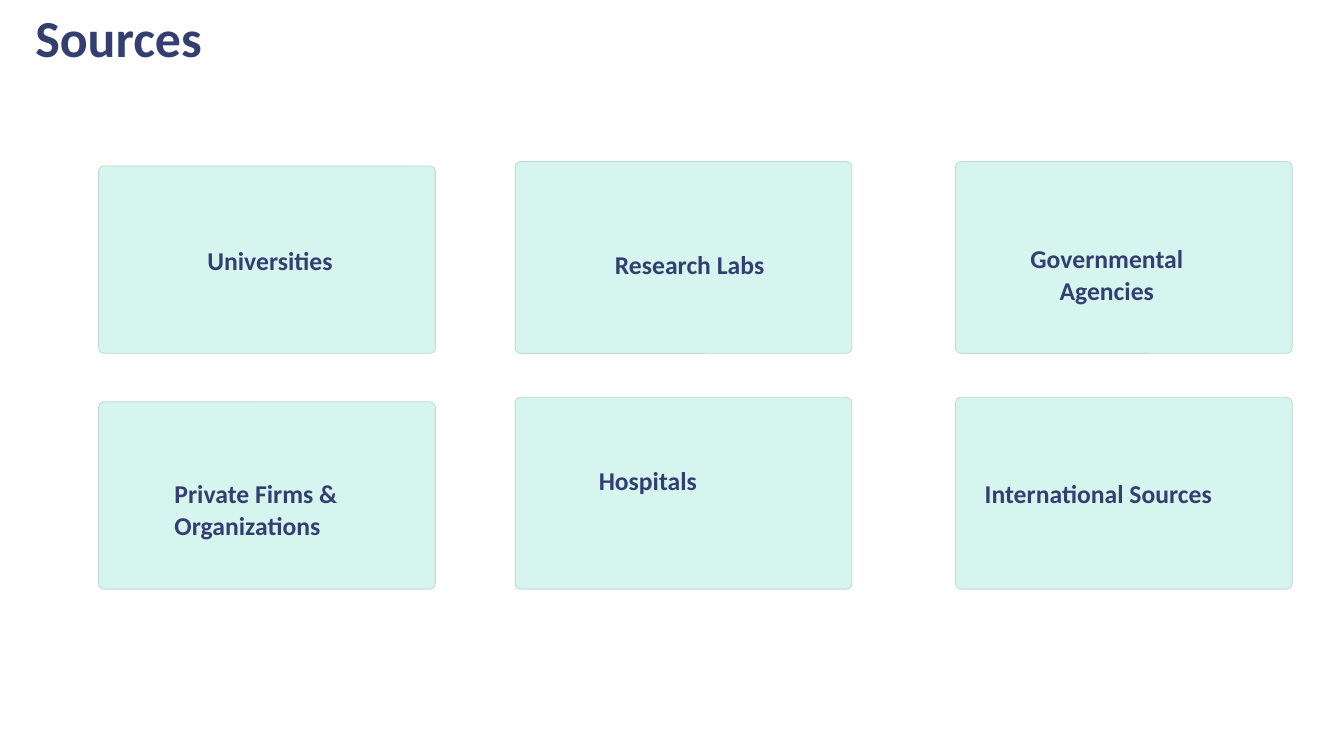
"""Builds the Sources slide with six labelled cards."""
from dataclasses import dataclass

from pptx import Presentation
from pptx.dml.color import RGBColor
from pptx.enum.shapes import MSO_SHAPE
from pptx.enum.text import PP_ALIGN
from pptx.slide import Slide
from pptx.util import Pt

ROUNDED = MSO_SHAPE.ROUNDED_RECTANGLE
LEFT = PP_ALIGN.LEFT
CENTER = PP_ALIGN.CENTER


@dataclass(frozen=True)
class Theme:
    font: str = "Calibri"
    ink: RGBColor = RGBColor(0x33, 0x3F, 0x70)
    card_fill: RGBColor = RGBColor(0xD6, 0xF5, 0xEE)
    card_line: RGBColor = RGBColor(0xBC, 0xDB, 0xD4)
    title_size: float = 37.1
    title_leading: float = 46.2
    label_size: float = 18.3
    label_leading: float = 22.9


@dataclass(frozen=True)
class Column:
    left: float
    card_height: float


@dataclass(frozen=True)
class Label:
    lines: tuple[str, ...]
    left: float
    top: float
    align: PP_ALIGN = LEFT


THEME = Theme()
CARD_WIDTH = 240.5
CARD_BOTTOMS = (252.4, 420.8)
COLUMNS = (Column(70.5, 133.8), Column(368, 137), Column(682.5, 137))
LABEL_WIDTH, LABEL_HEIGHT = 185.8, 23
LABELS = (
    Label(("Universities",), 100, 174.2, CENTER),
    Label(("Research Labs",), 439.2, 177.1),
    Label(("Governmental", "Agencies"), 697.7, 172.8, CENTER),
    Label(("Private Firms &", "Organizations"), 124.6, 340.6),
    Label(("Hospitals",), 427.7, 331.2),
    Label(("International Sources",), 703.4, 340.6),
)


def add_card(s: Slide, column: Column, bottom: float) -> None:
    """Draw one rounded card standing on the given bottom edge."""
    sp = s.shapes.add_shape(
        ROUNDED, Pt(column.left), Pt(bottom - column.card_height),
        Pt(CARD_WIDTH), Pt(column.card_height))
    sp.adjustments[0] = 0.029
    sp.shadow.inherit = False
    sp.fill.solid()
    sp.fill.fore_color.rgb = THEME.card_fill
    sp.line.color.rgb = THEME.card_line
    sp.line.width = Pt(0.6)


def add_text(s: Slide, label: Label, width: float, height: float,
             size: float, leading: float) -> None:
    """Draw bold text, one paragraph for each line."""
    sp = s.shapes.add_textbox(
        Pt(label.left), Pt(label.top), Pt(width), Pt(height))
    tf = sp.text_frame
    tf.word_wrap = True
    tf.margin_left = tf.margin_top = tf.margin_right = tf.margin_bottom = 0
    tf.text = "\n".join(label.lines)
    for p in tf.paragraphs:
        p.alignment = label.align
        p.line_spacing = Pt(leading)
        p.font.name = THEME.font
        p.font.size = Pt(size)
        p.font.bold = True
        p.font.color.rgb = THEME.ink


def main() -> None:
    """Build and save the slide."""
    prs = Presentation()
    prs.slide_width, prs.slide_height = Pt(960), Pt(540)
    s = prs.slides.add_slide(prs.slide_layouts[6])
    add_text(s, Label(("Sources",), 25.2, 2.2), 431.3, 46.8,
             THEME.title_size, THEME.title_leading)
    for bottom in CARD_BOTTOMS:
        for column in COLUMNS:
            add_card(s, column, bottom)
    for label in LABELS:
        add_text(s, label, LABEL_WIDTH, LABEL_HEIGHT,
                 THEME.label_size, THEME.label_leading)
    prs.save("out.pptx")


if __name__ == "__main__":
    main()
